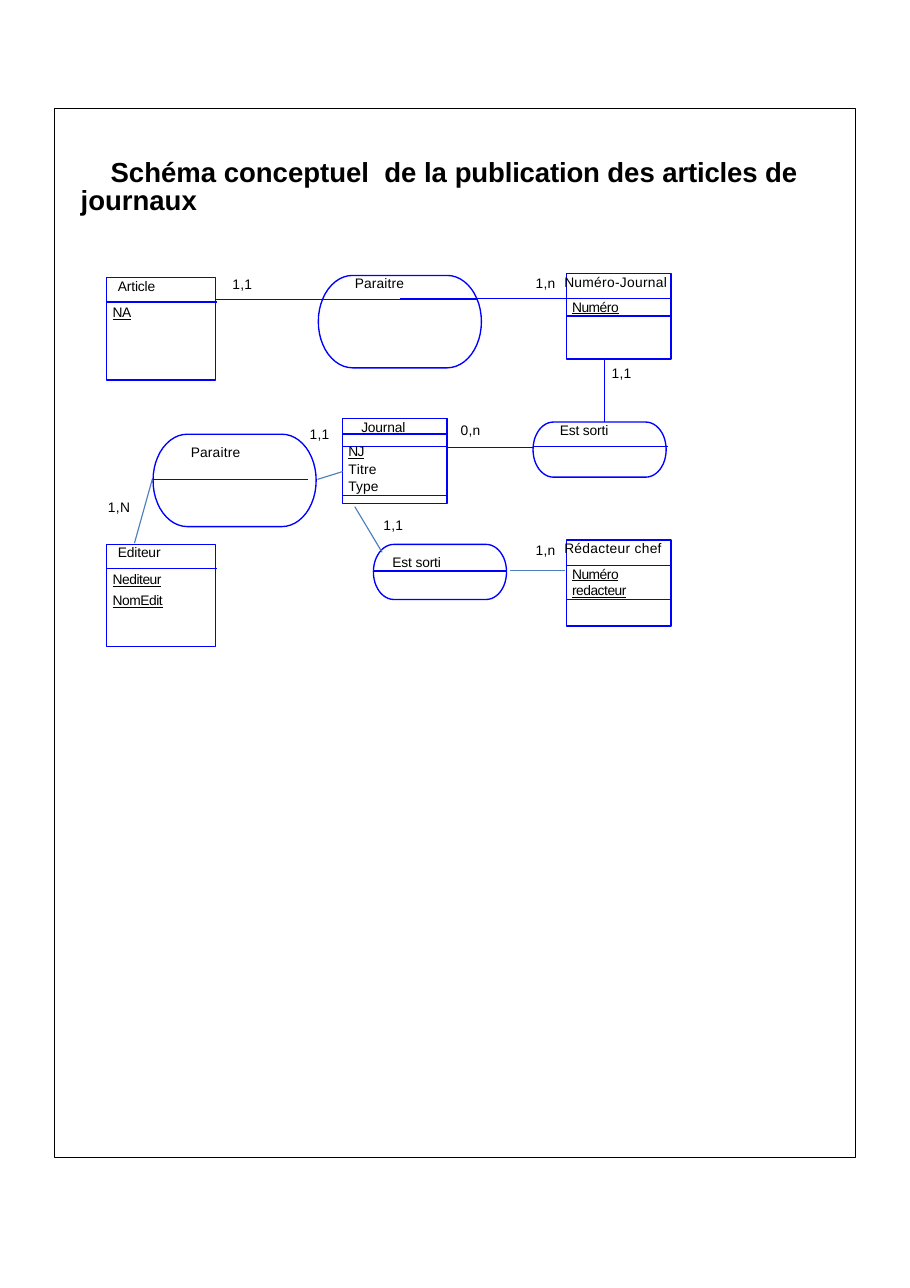
from math import cos, pi, sin

from lxml.etree import SubElement
from pptx import Presentation
from pptx.dml.color import RGBColor as Rgb
from pptx.enum.shapes import MSO_CONNECTOR as Conn, MSO_SHAPE as Form
from pptx.enum.text import MSO_ANCHOR as Anchor, MSO_AUTO_SIZE as Auto, PP_ALIGN as Align
from pptx.oxml.ns import qn
from pptx.util import Cm, Pt

HUES = {"ink": "000000", "blue": "0000FF", "steel": "4B7EBC", "paper": "FFFFFF"}
THIN = 0.89


def hue(name):
    return Rgb.from_string(HUES[name])


def add_run(para, text, gap=0, under=False, size=9, bold=False):
    run = para.add_run()
    run.text = text
    font = run.font
    font.name, font.size, font.bold = "Arial", Pt(size), bold
    font.underline = under
    font.color.rgb = hue("ink")
    run._r.get_or_add_rPr().set("spc", str(gap))


def set_para(para, left, first=0, before=0, pitch=None):
    para.alignment = Align.LEFT
    para.space_before = Pt(before)
    if pitch:
        para.line_spacing = pitch
    props = para._p.get_or_add_pPr()
    props.set("marL", str(Cm(left)))
    props.set("indent", str(Cm(first)))


def set_frame(shape, top=0, wrap=True):
    frame = shape.text_frame
    frame.margin_left = frame.margin_right = frame.margin_bottom = 0
    frame.margin_top = Cm(top)
    frame.vertical_anchor = Anchor.TOP
    frame.auto_size = Auto.NONE
    frame.word_wrap = wrap
    return frame


def add_text(slide, x, y, runs, top=0.03, before=0.9):
    box = slide.shapes.add_textbox(Cm(x), Cm(y), Cm(2), Cm(0.41))
    para = set_frame(box, top, False).paragraphs[0]
    set_para(para, 0.03, 0, before)
    for run in runs:
        add_run(para, *run)


def add_rule(slide, x, y, end, low, tint="blue", width=THIN):
    rule = slide.shapes.add_connector(Conn.STRAIGHT, Cm(x), Cm(y), Cm(end), Cm(low))
    rule.line.color.rgb = hue(tint)
    rule.line.width = Pt(width)
    SubElement(rule._element.spPr, qn("a:effectLst"))


def style(shape, tint="blue", width=THIN, fill=None):
    shape.shadow.inherit = False
    if fill:
        shape.fill.solid()
        shape.fill.fore_color.rgb = hue(fill)
    else:
        shape.fill.background()
    shape.line.color.rgb = hue(tint)
    shape.line.width = Pt(width)


def add_box(slide, x, y, wide, high, tint="blue", width=THIN):
    box = slide.shapes.add_shape(Form.RECTANGLE, Cm(x), Cm(y), Cm(wide), Cm(high))
    style(box, tint, width)
    return box


def add_head(slide, x, y, wide, high):
    add_box(slide, x, y, wide, high, "ink", 0.25)
    title = slide.shapes.title
    title.left, title.top = Cm(x + 0.59), Cm(y + 1.07)
    title.width, title.height = Cm(16.71), Cm(1.45)
    para = set_frame(title, 0.15).paragraphs[0]
    set_para(para, 0.03, 0.69, 4.6, Pt(18))
    for text, gap in (("Schéma conceptuel  de la", 0), (" publication ", -10),
                      ("des", 0), (" articles ", -10), ("de journaux", 0)):
        add_run(para, text, gap, size=18, bold=True)


def add_plain(slide, x, y, name, keys, rise):
    add_box(slide, x, y, 2.51, 2.36)
    add_rule(slide, x, y + 0.56, x + 2.54, y + 0.56)
    add_text(slide, x + 0.23, y - rise, [(name, -10)])
    for i, key in enumerate(keys):
        add_text(slide, x + 0.11, y + 0.53 + 0.48 * i, [(key, -30, True)], 0.08, 1.8)


def add_keyed(slide, x, y, name, key, high):
    add_box(slide, x, y, 2.41, 1.98)
    add_text(slide, x - 0.08, y - 0.03, [(name, 20)])
    band = add_box(slide, x, y + 0.58, 2.41, high)
    para = set_frame(band).paragraphs[0]
    set_para(para, 0.13, 0, 0.3)
    add_run(para, key, -30, True)


def add_paper(slide, x, y):
    add_box(slide, x, y, 2.41, 1.96)
    para = set_frame(add_box(slide, x, y, 2.41, 0.36)).paragraphs[0]
    set_para(para, 0.43, 0, 0, Pt(10.7))
    add_run(para, "Journal", -10)
    frame = set_frame(add_box(slide, x, y + 0.64, 2.41, 1.14))
    rows = (([("NJ", -30, True)], Pt(8.5)),
            ([("T", 20), ("itre", 10)], 1.07),
            ([("Type", 10)], 1.07))
    for i, (runs, pitch) in enumerate(rows):
        para = frame.add_paragraph() if i else frame.paragraphs[0]
        set_para(para, 0.13, 0, 0, pitch)
        for run in runs:
            add_run(para, *run)


def add_link(slide, x, y, wide, high, name, gap, spot, rule, fill="paper"):
    rx, ry = 0.37 * high, high / 2
    arc = [pi * i / 24 - pi / 2 for i in range(25)]
    right = [(x + wide - rx + rx * cos(a), y + ry + ry * sin(a)) for a in arc]
    left = [(x + rx - rx * cos(a), y + ry - ry * sin(a)) for a in arc]
    points = [(Cm(px), Cm(py)) for px, py in right + left]
    pen = slide.shapes.build_freeform(*points[0], scale=1.0)
    pen.add_line_segments(points[1:], close=True)
    style(pen.convert_to_shape(), fill=fill)
    add_text(slide, x + spot[0], y + spot[1], [(name, gap)])
    start, end, drop = rule
    add_rule(slide, x + start, y + drop, x + end, y + drop)


def add_count(slide, x, y, text, split=False):
    runs = zip(text, (20, 10, -10)) if split else [(text, 20)]
    add_text(slide, x, y, runs)


def add_scheme(slide, x, y):
    for ends in ((6.76, 0.58, 10.6, 0.58), (11.48, 1.98, 11.48, 4.06),
                 (7.85, 4.01, 11.36, 4.01), (2.52, 0.61, 6.23, 0.61)):
        add_rule(slide, x + ends[0], y + ends[1], x + ends[2], y + ends[3])

    add_plain(slide, x, y + 0.1, "Article", ["NA"], 0.02)
    add_plain(slide, x, y + 6.25, "Editeur", ["Nediteur", "NomEdit"], 0.05)
    add_keyed(slide, x + 10.6, y, "Numéro-Journal", "Numéro", 0.41)
    add_keyed(slide, x + 10.6, y + 6.15, "Rédacteur chef", "Numéro redacteur", 0.79)
    add_paper(slide, x + 5.44, y + 3.35)

    add_link(slide, x + 4.88, y + 0.05, 3.76, 2.13, "Paraitre", 10,
             (0.81, -0.05), (0.1, 3.68, 0.56), None)
    add_link(slide, x + 1.07, y + 3.71, 3.76, 2.13, "Paraitre", 10,
             (0.84, 0.18), (-0.02, 3.58, 1.04))
    add_link(slide, x + 9.83, y + 3.43, 3.07, 1.27, "Est sorti", -10,
             (0.59, -0.03), (0, 3.1, 0.56))
    add_link(slide, x + 6.15, y + 6.25, 3.07, 1.27, "Est sorti", -10,
             (0.41, 0.18), (-0.02, 3.07, 0.61))

    for ends in ((5.44, 4.57, 4.86, 4.75), (1.05, 4.75, 0.64, 6.22),
                 (5.72, 5.38, 6.35, 6.43), (9.3, 6.86, 10.57, 6.86)):
        add_rule(slide, x + ends[0], y + ends[1], x + ends[2], y + ends[3], "steel", 0.75)

    for left, top, text, split in (
            (9.86, 0, "1,n", True), (11.61, 2.08, "1,1", True),
            (8.13, 3.4, "0,n", True), (2.87, 0.02, "1,1", False),
            (9.86, 6.15, "1,n", True), (4.65, 3.48, "1,1", False),
            (0, 5.16, "1,N", False), (6.35, 5.59, "1,1", False)):
        add_count(slide, x + left, y + top, text, split)


def main():
    deck = Presentation()
    deck.slide_width, deck.slide_height = Cm(20.98), Cm(29.69)
    slide = deck.slides.add_slide(deck.slide_layouts[5])
    add_head(slide, 1.24, 2.49, 18.49, 24.18)
    add_scheme(slide, 2.46, 6.3)
    deck.save("out.pptx")


if __name__ == "__main__":
    main()
